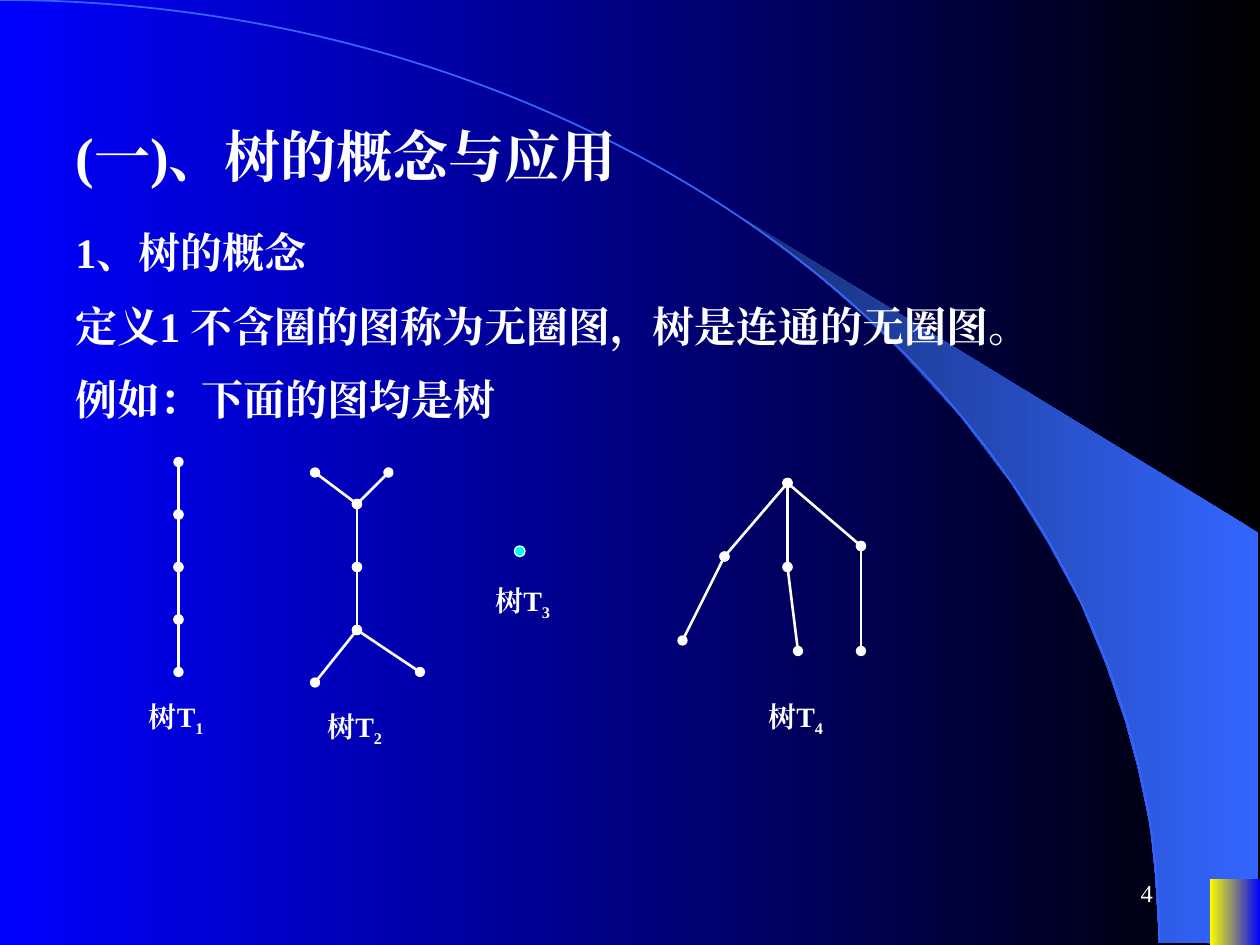
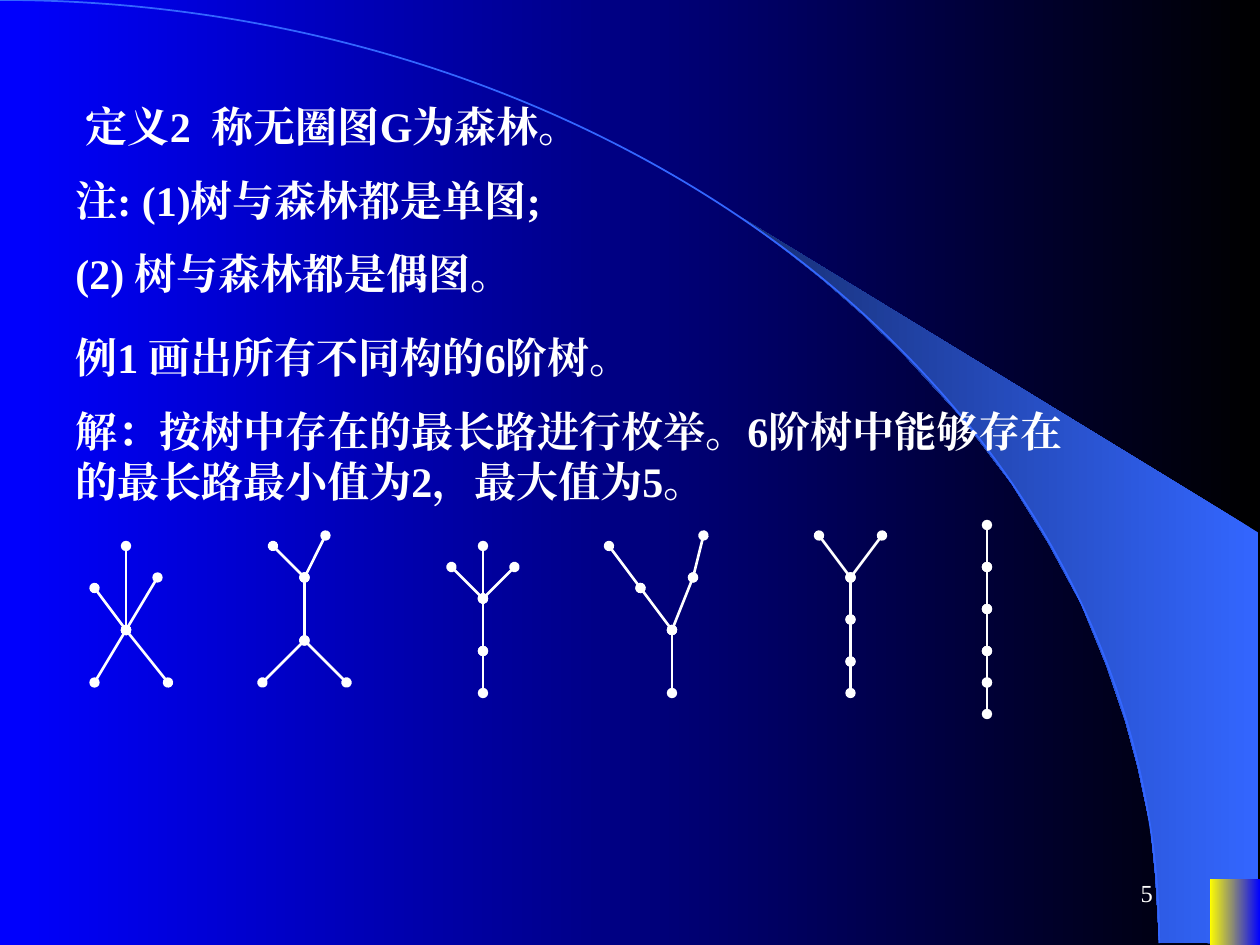
from dataclasses import dataclass
from lxml.etree import SubElement
from pptx import Presentation
from pptx.dml.color import RGBColor as RGB
from pptx.enum.shapes import MSO_CONNECTOR as CONN, MSO_SHAPE as SHAPE
from pptx.enum.text import MSO_ANCHOR as ANCHOR, MSO_AUTO_SIZE as FIT, PP_ALIGN as ALIGN
from pptx.oxml.ns import qn
from pptx.util import Inches, Pt


@dataclass(frozen=True)
class Theme:
    font: str = "Times New Roman"
    white: str = "FFFFFF"
    black: str = "000000"
    blue: str = "0000FF"
    arc: str = "3366FF"
    band_dark: str = "172F75"
    yellow: str = "FFFF00"
    cyan: str = "00FFFF"
    title: int = 32
    body: int = 24
    label: int = 16
    number: int = 14
    edge: float = 1.5


T = Theme()
COLS, ROWS = 120, 90
prs = Presentation()
prs.slide_width, prs.slide_height = Inches(10), Inches(7.5)
U = prs.slide_width // COLS


def gradient(fill, start, end):
    fill.gradient()
    fill.gradient_angle = 180
    for stop, color in zip(fill.gradient_stops, (start, end)):
        stop.color.rgb = RGB.from_string(color)


def add_text(s, text, col, row, w=99, h=6, size=T.body, bold=True, before=0,
             sub="", align=None, anchor=ANCHOR.TOP, fit=FIT.SHAPE_TO_FIT_TEXT):
    tf = s.shapes.add_textbox(int(col * U), int(row * U), int(w * U), int(h * U)).text_frame
    tf.word_wrap, tf.auto_size, tf.vertical_anchor = True, fit, anchor
    p = tf.paragraphs[0]
    p.alignment, p.space_before = align, Pt(before)
    for part in filter(None, (text, sub)):
        r = p.add_run()
        r.text = part
        r.font.size, r.font.bold = Pt(size), bold
        r.font.color.rgb = RGB.from_string(T.white)
        r.font.name = T.font
        rPr = r._r.get_or_add_rPr()
        SubElement(rPr, qn("a:ea")).set("typeface", T.font)
        if part == sub:
            rPr.set("baseline", "-25000")


BAND = [(920, 748), (999, 749), (999, 423), (589, 173), (624, 199), (653, 222),
        (685, 250), (716, 280), (762, 330), (803, 384), (832, 431), (858, 479),
        (878, 528), (893, 572), (903, 609), (913, 656), (917, 696)]

SLIDES = [
    dict(
        number="4",
        title="(一)、树的概念与应用",
        lines=[
            ("1、树的概念", 6, 21, 6),
            ("定义1 不含圈的图称为无圈图，树是连通的无圈图。", 6, 28, 6),
            ("例如：下面的图均是树", 6, 35, 6),
        ],
        chains=[
            [(17, 44 + 5 * i) for i in range(5)],
            [(30, 45), (34, 48), (34, 54), (34, 60), (30, 65)],
            [(37, 45), (34, 48)],
            [(34, 60), (40, 64)],
            [(75, 46), (69, 53), (65, 61)],
            [(75, 46), (75, 54), (76, 62)],
            [(75, 46), (82, 52), (82, 62)],
        ],
        lone_vertices=[(49, 52)],
        labels=[("1", 13, 66), ("2", 30, 67), ("3", 46, 55), ("4", 72, 66)],
    ),
    dict(
        number="5",
        title="",
        lines=[
            ("定义2  称无圈图G为森林。", 7, 9, 6),
            ("注: (1)树与森林都是单图;", 6, 16, 6),
            ("(2) 树与森林都是偶图。", 6, 23, 6),
            ("例1 画出所有不同构的6阶树。", 6, 31, 6),
            ("解：按树中存在的最长路进行枚举。6阶树中能够存在的最长路最小值为2，最大值为5。",
             6, 38, 10.8),
        ],
        chains=[
            *[[(12, 60), leaf] for leaf in [(12, 52), (9, 56), (15, 55), (9, 65), (16, 65)]],
            [(26, 52), (29, 55), (29, 61), (25, 65)],
            [(31, 51), (29, 55)],
            [(29, 61), (33, 65)],
            [(46, 52), (46, 57), (46, 62), (46, 66)],
            [(43, 54), (46, 57), (49, 54)],
            [(58, 52), (61, 56), (64, 60), (64, 66)],
            [(67, 51), (66, 55), (64, 60)],
            [(78, 51), (81, 55), (81, 59), (81, 63), (81, 66)],
            [(84, 51), (81, 55)],
            [(94, row) for row in (50, 54, 58, 62, 65, 68)],
        ],
        lone_vertices=[],
        labels=[],
    ),
]

for page in SLIDES:
    s = prs.slides.add_slide(prs.slide_layouts[6])
    gradient(s.background.fill, T.black, T.blue)

    builder = s.shapes.build_freeform(*BAND[0], scale=Inches(1) / 100)
    builder.add_line_segments(BAND[1:], close=True)
    band = builder.convert_to_shape()
    band.shadow.inherit = False
    gradient(band.fill, T.arc, T.band_dark)
    band.line.fill.background()

    arc = s.shapes.add_shape(SHAPE.ARC, Inches(-9.2), 0, Inches(18.4), Inches(14.97))
    arc.shadow.inherit = False
    arc.fill.background()
    arc.line.color.rgb = RGB.from_string(T.arc)
    arc.line.width = Pt(1)

    corner = s.shapes.add_shape(SHAPE.RECTANGLE, Inches(9.6), Inches(6.98),
                                Inches(0.4), Inches(0.52))
    corner.shadow.inherit = False
    gradient(corner.fill, T.blue, T.yellow)
    corner.line.fill.background()

    if page["title"]:
        add_text(s, page["title"], 6, 11, w=88, h=7.7, size=T.title, before=20)
    for text, col, row, h in page["lines"]:
        add_text(s, text, col, row, h=h, before=15)

    for chain in page["chains"]:
        for (x1, y1), (x2, y2) in zip(chain, chain[1:]):
            edge = s.shapes.add_connector(CONN.STRAIGHT, x1 * U, y1 * U, x2 * U, y2 * U)
            edge.line.color.rgb = RGB.from_string(T.white)
            edge.line.width = Pt(T.edge)
            spPr = edge._element.spPr
            for end in ("a:headEnd", "a:tailEnd"):
                SubElement(spPr.find(qn("a:ln")), qn(end)).set("type", "oval")
            SubElement(spPr, qn("a:effectLst"))

    for col, row in page["lone_vertices"]:
        dot = s.shapes.add_shape(SHAPE.OVAL, col * U, row * U, U, U)
        dot.shadow.inherit = False
        dot.fill.solid()
        dot.fill.fore_color.rgb = RGB.from_string(T.cyan)
        dot.line.color.rgb = RGB.from_string(T.white)
        dot.line.width = Pt(0.75)

    for index, col, row in page["labels"]:
        add_text(s, "树T", col, row, w=11, h=5, size=T.label, sub=index)

    add_text(s, page["number"], 86, ROWS - 8, w=25, size=T.number, bold=False,
             align=ALIGN.RIGHT, anchor=ANCHOR.MIDDLE, fit=FIT.NONE)

prs.save("out.pptx")
